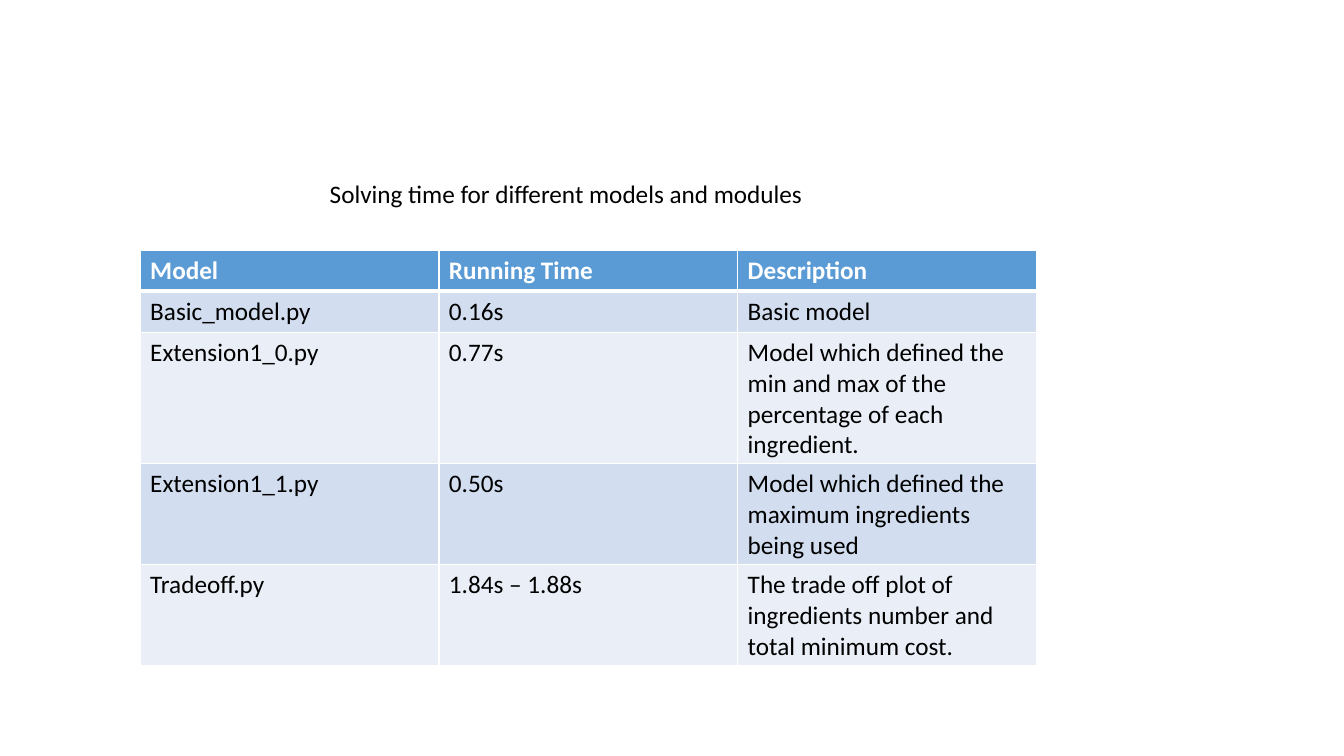
from lxml.etree import SubElement
from pptx import Presentation
from pptx.dml.color import RGBColor
from pptx.enum.text import MSO_ANCHOR, MSO_AUTO_SIZE, PP_ALIGN
from pptx.oxml.ns import qn
from pptx.util import Inches, Pt


def style(para, color, bold=False):
    for run in para.runs:
        run.font.name = "Calibri"
        run.font.size = Pt(18)
        run.font.bold = bold
        run.font.color.rgb = RGBColor.from_string(color)


def border(cell, side, width):
    line = SubElement(cell._tc.get_or_add_tcPr(), qn(f"a:ln{side}"), w=str(Pt(width)))
    fill = SubElement(line, qn("a:solidFill"))
    SubElement(fill, qn("a:srgbClr"), val="FFFFFF")


deck = Presentation()
deck.slide_width = Inches(13.33)
deck.slide_height = Inches(7.5)
slide = deck.slides.add_slide(deck.slide_layouts[5])

title = slide.shapes.title
title.left, title.top = Inches(3.17), Inches(1.72)
title.width, title.height = Inches(4.95), Inches(0.4)
frame = title.text_frame
frame.text = "Solving time for different models and modules"
frame.word_wrap = False
frame.auto_size = MSO_AUTO_SIZE.SHAPE_TO_FIT_TEXT
frame.vertical_anchor = MSO_ANCHOR.TOP
frame.paragraphs[0].alignment = PP_ALIGN.LEFT
style(frame.paragraphs[0], "000000")

rows = [
    ("Model", "Running Time", "Description"),
    ("Basic_model.py", "0.16s", "Basic model"),
    ("Extension1_0.py", "0.77s",
     "Model which defined the min and max of the percentage of each ingredient."),
    ("Extension1_1.py", "0.50s",
     "Model which defined the maximum ingredients being used"),
    ("Tradeoff.py", "1.84s – 1.88s",
     "The trade off plot of ingredients number and total minimum cost."),
]
table = slide.shapes.add_table(
    len(rows), 3, Inches(1.39), Inches(2.48), Inches(8.89), Inches(2.03)
).table
for r, row in enumerate(rows):
    table.rows[r].height = Inches(0.41)
    head = r == 0
    shade = "5B9BD5" if head else ("EAEFF7", "D2DEEF")[r % 2]
    for c, text in enumerate(row):
        cell = table.cell(r, c)
        cell.text_frame.text = text
        style(cell.text_frame.paragraphs[0], "FFFFFF" if head else "000000", head)
        for side in "LRTB":
            thick = (r, side) in [(0, "B"), (1, "T")]
            border(cell, side, 3 if thick else 1)
        cell.fill.solid()
        cell.fill.fore_color.rgb = RGBColor.from_string(shade)

deck.save("out.pptx")
